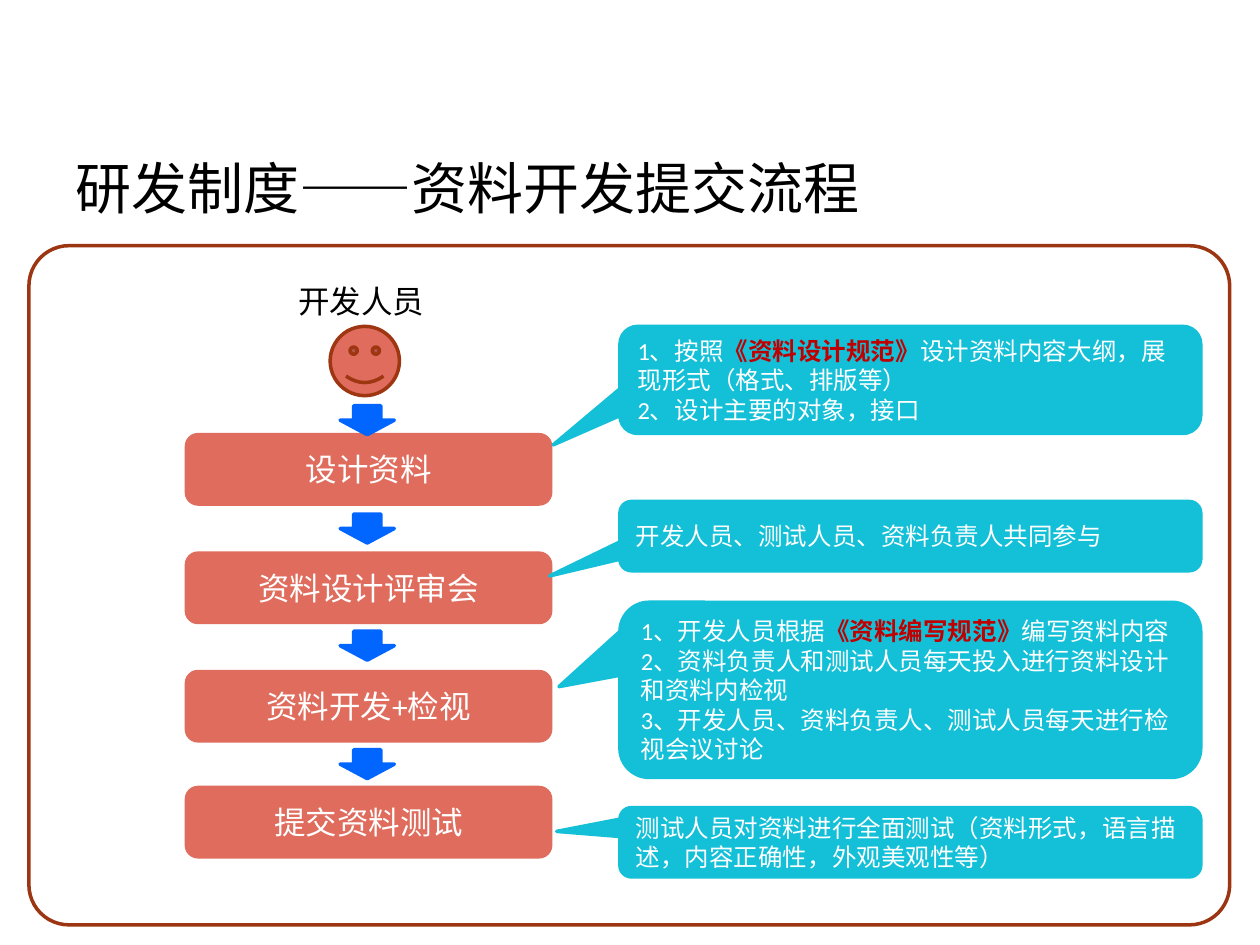
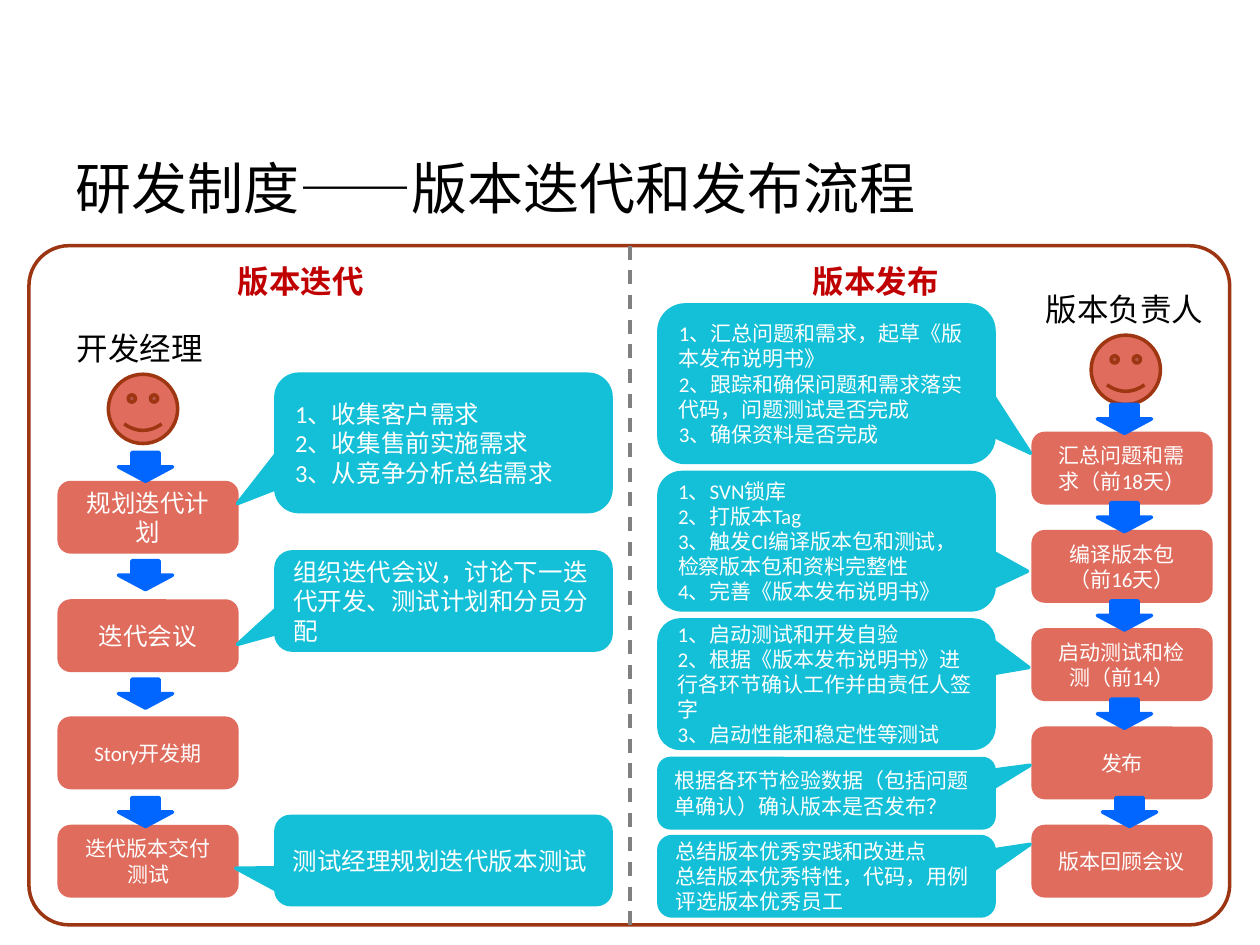
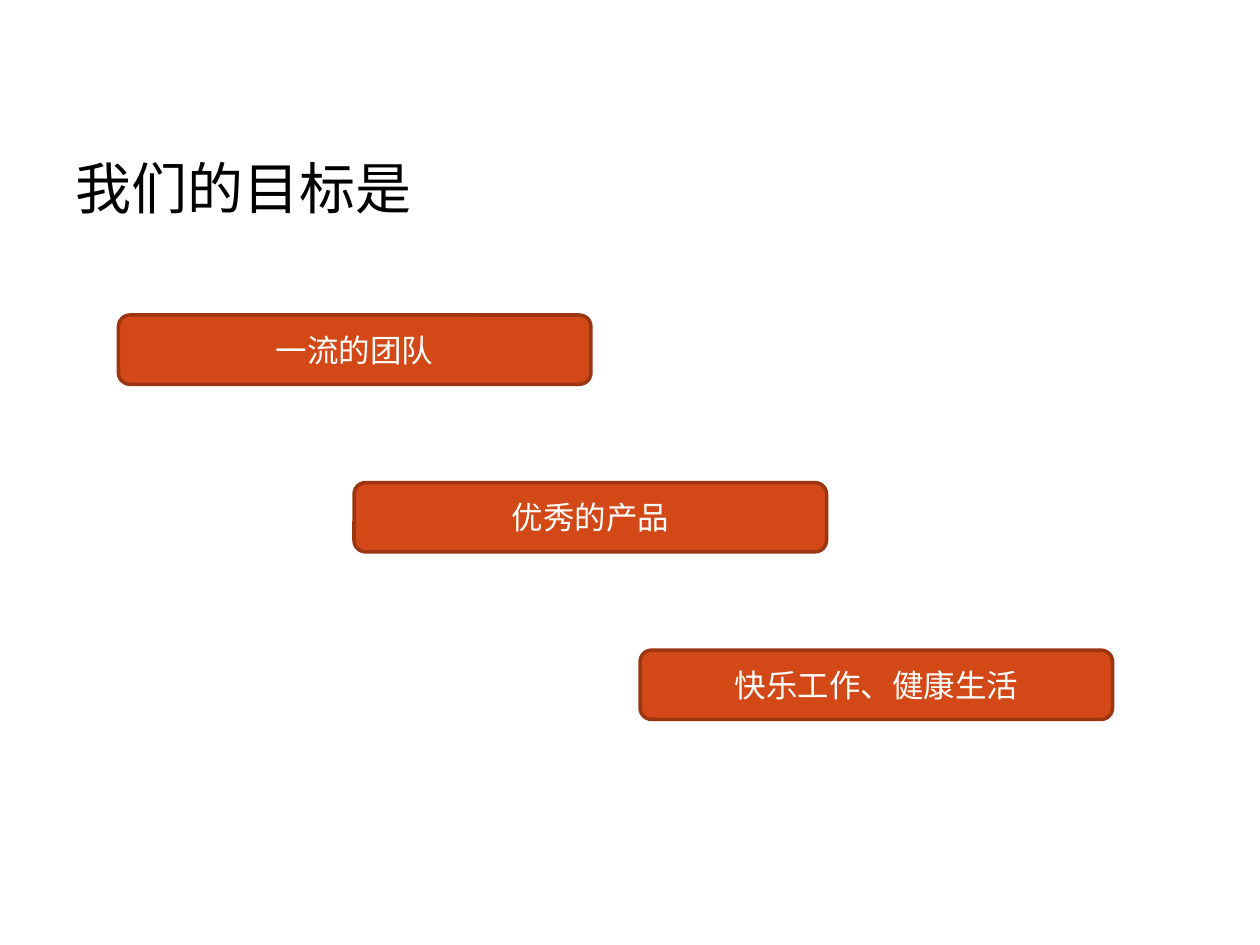
import pptx
import pptx.dml.color
import pptx.enum.dml
import pptx.enum.shapes
import pptx.enum.text
import pptx.oxml.ns
import pptx.util
from dataclasses import dataclass
from lxml import etree

Inches = pptx.util.Inches
SHAPE = pptx.enum.shapes.MSO_SHAPE
ALIGN = pptx.enum.text.PP_ALIGN
ANCHOR = pptx.enum.text.MSO_ANCHOR


@dataclass(frozen=True)
class Theme:
    title_font: str = "Roboto"
    body_font: str = "Calibri"
    title_size: int = 32
    large: int = 18
    medium: int = 14
    small: int = 12
    line_width: int = 2
    black: str = "000000"
    white: str = "FFFFFF"
    emphasis: str = "C00000"
    frame: str = "9C3511"
    face_line: str = "9E3611"
    step: str = "DF6C5D"
    callout: str = "13C0D7"
    arrow: str = "0066FF"
    goal: str = "D34817"
    divider: str = "808080"


THEME = Theme()

TITLE_BOX = (0.5, 0.86, 9, 1.25)
FRAME_BOX = (0.23, 1.95, 9.53, 5.39)
BOX_HEIGHT = 0.55
FACE_SIZE = 0.55
ARROW_SIZE = (0.43, 0.23)
LABEL_HEIGHT = 0.4
RELEASE_TOPS = [3.44 + 0.78 * row for row in range(5)]

SUBMIT_FLOW = {
    "role": ("开发人员", 2.27, 2.19, 1.21),
    "face": (2.62, 2.59),
    "step_left": 1.48,
    "step_width": 2.89,
    "steps": [
        ("设计资料", 3.45, THEME.large),
        ("资料设计评审会", 4.39, THEME.large),
        ("资料开发+检视", 5.33, THEME.large),
        ("提交资料测试", 6.25, THEME.large),
    ],
    "arrows": [(2.7, top) for top in (3.22, 4.08, 5.01, 5.95)],
    "callout_left": 4.92,
    "callout_width": 4.61,
    "callout_size": THEME.medium,
    "callouts": [
        (2.59, 0.85, (-0.615, 0.607), [
            "1、按照*《资料设计规范》*设计资料内容大纲，展现形式（格式、排版等）",
            "2、设计主要的对象，接口",
        ]),
        (3.98, 0.55, (-0.621, 0.575), ["开发人员、测试人员、资料负责人共同参与"]),
        (4.78, 1.39, (-0.605, -0.018), [
            "1、开发人员根据*《资料编写规范》*编写资料内容",
            "2、资料负责人和测试人员每天投入进行资料设计和资料内检视",
            "3、开发人员、资料负责人、测试人员每天进行检视会议讨论",
        ]),
        (6.41, 0.55, (-0.609, -0.157), [
            "测试人员对资料进行全面测试（资料形式，语言描述，内容正确性，外观美观性等）",
        ]),
    ],
}

ITERATION_FLOW = {
    "role": ("开发经理", 0.51, 2.56, 1.21),
    "face": (0.86, 2.97),
    "step_left": 0.47,
    "step_width": 1.41,
    "steps": [
        ("规划迭代计划", 3.83, THEME.medium),
        ("迭代会议", 4.77, THEME.medium),
        ("Story开发期", 5.7, THEME.small),
        ("迭代版本交付测试", 6.56, THEME.small),
    ],
    "arrows": [(0.94, top) for top in (3.59, 4.45, 5.39, 6.33)],
    "callout_left": 2.19,
    "callout_width": 2.66,
    "callout_size": THEME.medium,
    "callouts": [
        (2.97, 1.09, (-0.615, 0.442), [
            "1、收集客户需求",
            "2、收集售前实施需求",
            "3、从竞争分析总结需求",
        ]),
        (4.38, 0.78, (-0.615, 0.442), [
            "组织迭代会议，讨论下一迭代开发、测试计划和分员分配",
        ]),
        (6.48, 0.7, (-0.62, 0.087), ["测试经理规划迭代版本测试"]),
    ],
}

RELEASE_STEPS = [
    "汇总问题和需求（前18天）",
    "编译版本包（前16天）",
    "启动测试和检测（前14）",
    "发布",
    "版本回顾会议",
]

RELEASE_FLOW = {
    "role": ("版本负责人", 8.2, 2.25, 1.46),
    "face": (8.66, 2.66),
    "step_left": 8.2,
    "step_width": 1.41,
    "steps": [(text, top, THEME.small) for text, top in zip(RELEASE_STEPS, RELEASE_TOPS)],
    "arrows": [(left, top - 0.23) for left, top in zip([8.71] * 4 + [8.75], RELEASE_TOPS)],
    "callout_left": 5.23,
    "callout_width": 2.66,
    "callout_size": THEME.small,
    "callouts": [
        (2.42, 1.25, (0.609, 0.442), [
            "1、汇总问题和需求，起草《版本发布说明书》",
            "2、跟踪和确保问题和需求落实代码，问题测试是否完成",
            "3、确保资料是否完成",
        ]),
        (3.75, 1.09, (0.6, 0.219), [
            "1、SVN锁库",
            "2、打版本Tag",
            "3、触发CI编译版本包和测试，检察版本包和资料完整性",
            "4、完善《版本发布说明书》",
        ]),
        (4.92, 1.02, (0.604, -0.13), [
            "1、启动测试和开发自验",
            "2、根据《版本发布说明书》进行各环节确认工作并由责任人签字",
            "3、启动性能和稳定性等测试",
        ]),
        (6.02, 0.55, (0.608, -0.403), [
            "根据各环节检验数据（包括问题单确认）确认版本是否发布？",
        ]),
        (6.64, 0.63, (0.608, -0.403), [
            "总结版本优秀实践和改进点",
            "总结版本优秀特性，代码，用例",
            "评选版本优秀员工",
        ]),
    ],
}

FLOW_SLIDES = [
    {"title": "研发制度——资料开发提交流程", "headings": [], "flows": [SUBMIT_FLOW]},
    {
        "title": "研发制度——版本迭代和发布流程",
        "headings": [("版本迭代", 1.79, 2.03, 1.22), ("版本发布", 6.35, 2.03, 1.22)],
        "flows": [ITERATION_FLOW, RELEASE_FLOW],
    },
]

GOALS_TITLE = "我们的目标是"
GOALS = [("一流的团队", 0.94), ("优秀的产品", 2.81), ("快乐工作、健康生活", 5.08)]
GOAL_TOP, GOAL_STEP, GOAL_WIDTH = 2.5, 1.33, 3.75


def color(value):
    return pptx.dml.color.RGBColor.from_string(value)


def write_text(shape, paragraphs, size=THEME.large, font=THEME.body_font, fill=THEME.white,
               bold=False, align=ALIGN.LEFT, anchor=ANCHOR.MIDDLE, wrap=True):
    frame = shape.text_frame
    frame.word_wrap = wrap
    frame.vertical_anchor = anchor
    for index, text in enumerate(paragraphs):
        paragraph = frame.add_paragraph() if index else frame.paragraphs[0]
        paragraph.alignment = align
        for position, part in enumerate(text.split("*")):
            emphasized = position % 2 == 1
            run = paragraph.add_run()
            run.text = part
            run.font.name = font
            run.font.size = pptx.util.Pt(size)
            run.font.bold = bold or emphasized
            run.font.color.rgb = color(THEME.emphasis if emphasized else fill)


def add_shape(slide, kind, box, fill=None, line=None, adjustments=()):
    shape = slide.shapes.add_shape(kind, *map(Inches, box))
    shape.shadow.inherit = False
    if fill:
        shape.fill.solid()
        shape.fill.fore_color.rgb = color(fill)
    else:
        shape.fill.background()
    shape.line.color.rgb = color(line or fill)
    shape.line.width = pptx.util.Pt(THEME.line_width)
    for index, value in enumerate(adjustments):
        shape.adjustments[index] = value
    return shape


def add_label(slide, text, left, top, width, **text_format):
    label = slide.shapes.add_textbox(*map(Inches, (left, top, width, LABEL_HEIGHT)))
    write_text(label, [text], anchor=ANCHOR.TOP, wrap=False, **text_format)
    label.text_frame.auto_size = pptx.enum.text.MSO_AUTO_SIZE.SHAPE_TO_FIT_TEXT


def add_titled_slide(presentation, layout, title):
    slide = presentation.slides.add_slide(layout)
    write_text(slide.shapes.title, [title], size=THEME.title_size,
               font=THEME.title_font, fill=THEME.black)
    return slide


def add_divider(slide):
    left, top, width, height = FRAME_BOX
    divider = slide.shapes.add_connector(
        pptx.enum.shapes.MSO_CONNECTOR.STRAIGHT,
        *map(Inches, (5, top, 5, top + height)))
    divider.line.color.rgb = color(THEME.divider)
    divider.line.width = pptx.util.Pt(THEME.line_width)
    divider.line.dash_style = pptx.enum.dml.MSO_LINE.DASH
    properties = divider._element.spPr
    etree.SubElement(properties, pptx.oxml.ns.qn("a:effectLst"))


def add_flow(slide, flow):
    add_shape(slide, SHAPE.SMILEY_FACE, (*flow["face"], FACE_SIZE, FACE_SIZE),
              THEME.step, THEME.face_line)
    add_label(slide, *flow["role"], fill=THEME.black)
    for text, top, size in flow["steps"]:
        box = (flow["step_left"], top, flow["step_width"], BOX_HEIGHT)
        step = add_shape(slide, SHAPE.ROUNDED_RECTANGLE, box, THEME.step)
        write_text(step, [text], size=size, align=ALIGN.CENTER)
    for top, height, tip, paragraphs in flow["callouts"]:
        box = (flow["callout_left"], top, flow["callout_width"], height)
        callout = add_shape(slide, SHAPE.ROUNDED_RECTANGULAR_CALLOUT, box,
                            THEME.callout, adjustments=tip)
        write_text(callout, paragraphs, size=flow["callout_size"])
    for position in flow["arrows"]:
        add_shape(slide, SHAPE.DOWN_ARROW, (*position, *ARROW_SIZE), THEME.arrow)


def add_flow_slide(presentation, layout, content):
    slide = add_titled_slide(presentation, layout, content["title"])
    add_shape(slide, SHAPE.ROUNDED_RECTANGLE, FRAME_BOX, line=THEME.frame, adjustments=(0.059,))
    if len(content["flows"]) > 1:
        add_divider(slide)
    for heading in content["headings"]:
        add_label(slide, *heading, fill=THEME.emphasis, bold=True)
    for flow in content["flows"]:
        add_flow(slide, flow)


def add_goals_slide(presentation, layout):
    slide = add_titled_slide(presentation, layout, GOALS_TITLE)
    for row, (text, left) in enumerate(GOALS):
        box = (left, GOAL_TOP + row * GOAL_STEP, GOAL_WIDTH, BOX_HEIGHT)
        goal = add_shape(slide, SHAPE.ROUNDED_RECTANGLE, box, THEME.goal, THEME.frame)
        write_text(goal, [text], align=ALIGN.CENTER)


def main():
    presentation = pptx.Presentation()
    presentation.slide_width = Inches(10)
    presentation.slide_height = Inches(7.5)
    layout = presentation.slide_layouts.get_by_name("Title Only")
    title = layout.placeholders[0]
    title.left, title.top, title.width, title.height = map(Inches, TITLE_BOX)
    for content in FLOW_SLIDES:
        add_flow_slide(presentation, layout, content)
    add_goals_slide(presentation, layout)
    presentation.save("out.pptx")


if __name__ == "__main__":
    main()
